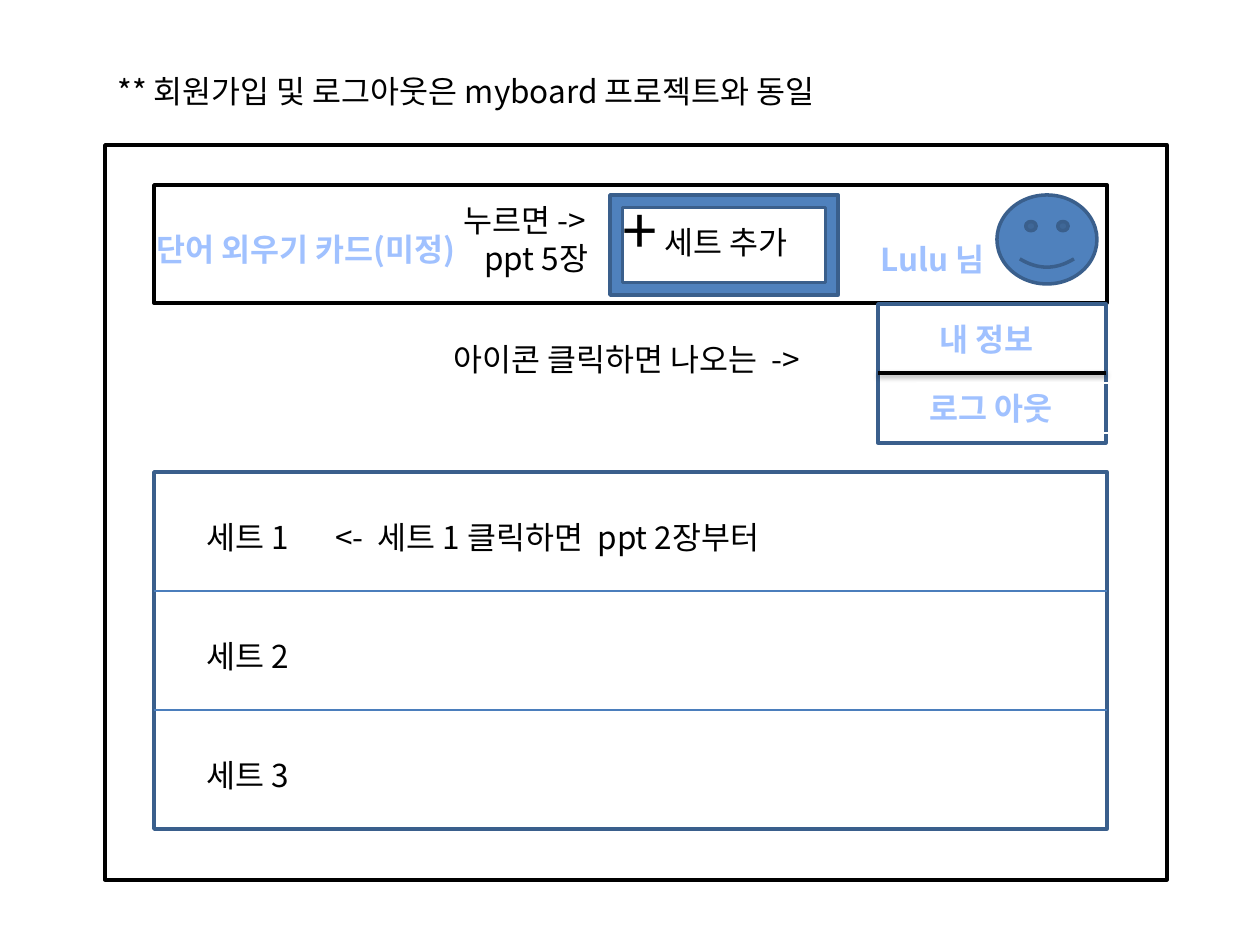
from dataclasses import dataclass
from typing import Optional

from lxml.etree import SubElement
from pptx import Presentation
from pptx.dml.color import RGBColor
from pptx.enum.shapes import MSO_CONNECTOR, MSO_SHAPE
from pptx.enum.text import MSO_AUTO_SIZE
from pptx.oxml.ns import qn
from pptx.util import Emu, Pt

PIXEL = 914400 // 126


@dataclass(frozen=True)
class Theme:
    font: str = "Noto Sans CJK KR"
    body: float = 18
    plus: float = 36
    white: str = "FFFFFF"
    black: str = "000000"
    blue: str = "4F81BD"
    border: str = "3A5F8C"
    separator: str = "4B7EBC"
    accent: str = "A0C1FF"
    thick: float = 2
    thin: float = 0.75


THEME = Theme()


@dataclass(frozen=True)
class Box:
    left: int
    top: int
    width: int
    height: int
    fill: str = THEME.white
    line: str = THEME.border
    preset: MSO_SHAPE = MSO_SHAPE.RECTANGLE


@dataclass(frozen=True)
class Label:
    left: int
    top: int
    width: int
    text: str
    height: int = 50
    accent: bool = False
    outline: Optional[str] = None


@dataclass(frozen=True)
class Rule:
    left: int
    right: int
    top: int
    color: str = THEME.separator
    weight: float = THEME.thin
    shadow: bool = False


def px(value: int) -> Emu:
    return Emu(value * PIXEL)


def rgb(value: str) -> RGBColor:
    return RGBColor.from_string(value)


def draw_box(slide, box: Box) -> None:
    shape = slide.shapes.add_shape(
        box.preset, px(box.left), px(box.top), px(box.width), px(box.height))
    shape.shadow.inherit = False
    shape.fill.solid()
    shape.fill.fore_color.rgb = rgb(box.fill)
    shape.line.color.rgb = rgb(box.line)
    shape.line.width = Pt(THEME.thick)


def format_run(run, accent: bool) -> None:
    run.font.name = THEME.font
    run.font.size = Pt(THEME.body)
    run.font.bold = accent
    run.font.color.rgb = rgb(THEME.accent if accent else THEME.black)
    SubElement(run.font._element, qn("a:ea"), typeface=THEME.font)


def draw_label(slide, label: Label):
    shape = slide.shapes.add_textbox(
        px(label.left), px(label.top), px(label.width), px(label.height))
    text_frame = shape.text_frame
    text_frame.word_wrap = True
    text_frame.auto_size = MSO_AUTO_SIZE.SHAPE_TO_FIT_TEXT
    text_frame.text = label.text
    for paragraph in text_frame.paragraphs:
        for run in paragraph.runs:
            format_run(run, label.accent)
    if label.outline:
        shape.line.color.rgb = rgb(label.outline)
        shape.line.width = Pt(THEME.thin)
    return shape


def draw_rule(slide, rule: Rule) -> None:
    connector = slide.shapes.add_connector(
        MSO_CONNECTOR.STRAIGHT,
        px(rule.left), px(rule.top), px(rule.right), px(rule.top))
    connector.line.color.rgb = rgb(rule.color)
    connector.line.width = Pt(rule.weight)
    effects = SubElement(connector._element.spPr, qn("a:effectLst"))
    if rule.shadow:
        shadow = SubElement(
            effects, qn("a:outerShdw"), blurRad=str(Pt(3.1)), dist=str(Pt(1.6)),
            dir="5400000", rotWithShape="0")
        color = SubElement(shadow, qn("a:srgbClr"), val=THEME.black)
        SubElement(color, qn("a:alpha"), val="38000")


def draw_header(slide) -> None:
    draw_box(slide, Box(105, 145, 1062, 735, line=THEME.black))
    draw_box(slide, Box(154, 185, 953, 118, line=THEME.black))
    draw_label(slide, Label(144, 224, 357, "단어 외우기 카드(미정)", accent=True))
    draw_box(slide, Box(997, 195, 100, 89, THEME.blue, preset=MSO_SHAPE.SMILEY_FACE))


def draw_menu(slide) -> None:
    draw_box(slide, Box(878, 304, 228, 139))
    draw_rule(slide, Rule(878, 1106, 373, THEME.black, THEME.thick, True))
    for label in (
        Label(868, 234, 139, "Lulu 님", accent=True),
        Label(927, 314, 139, "내 정보", accent=True, outline=THEME.white),
        Label(917, 383, 198, "로그 아웃", accent=True, outline=THEME.white),
        Label(441, 334, 446, "아이콘 클릭하면 나오는  ->"),
    ):
        draw_label(slide, label)


def draw_sets(slide) -> None:
    left, top, width, row_height, count = 154, 472, 953, 119, 3
    draw_box(slide, Box(left, top, width, row_height * count))
    for index in range(1, count):
        draw_rule(slide, Rule(left, left + width, top + index * row_height))
    for index in range(count):
        draw_label(slide, Label(
            194, top + 40 + index * row_height, 318, f"세트 {index + 1}"))
    draw_label(slide, Label(323, 512, 536, "<-  세트 1 클릭하면  ppt 2장부터"))


def draw_add_button(slide) -> None:
    draw_box(slide, Box(610, 195, 228, 100, THEME.blue, preset=MSO_SHAPE.FRAME))
    button = draw_label(slide, Label(610, 185, 238, "+", 89))
    paragraph = button.text_frame.paragraphs[0]
    paragraph.runs[0].font.size = Pt(THEME.plus)
    caption = paragraph.add_run()
    caption.text = " 세트 추가"
    format_run(caption, False)
    hint = draw_label(slide, Label(451, 195, 287, "누르면 ->\nppt 5장", 89))
    target = hint.text_frame.paragraphs[1]
    target._p.get_or_add_pPr().set("marL", str(px(21)))


def main() -> None:
    presentation = Presentation()
    presentation.slide_width = px(1260)
    presentation.slide_height = px(945)
    slide = presentation.slides.add_slide(presentation.slide_layouts[6])
    draw_header(slide)
    draw_menu(slide)
    draw_sets(slide)
    draw_add_button(slide)
    draw_label(slide, Label(
        105, 66, 814, "** 회원가입 및 로그아웃은 myboard 프로젝트와 동일"))
    presentation.save("out.pptx")


main()
